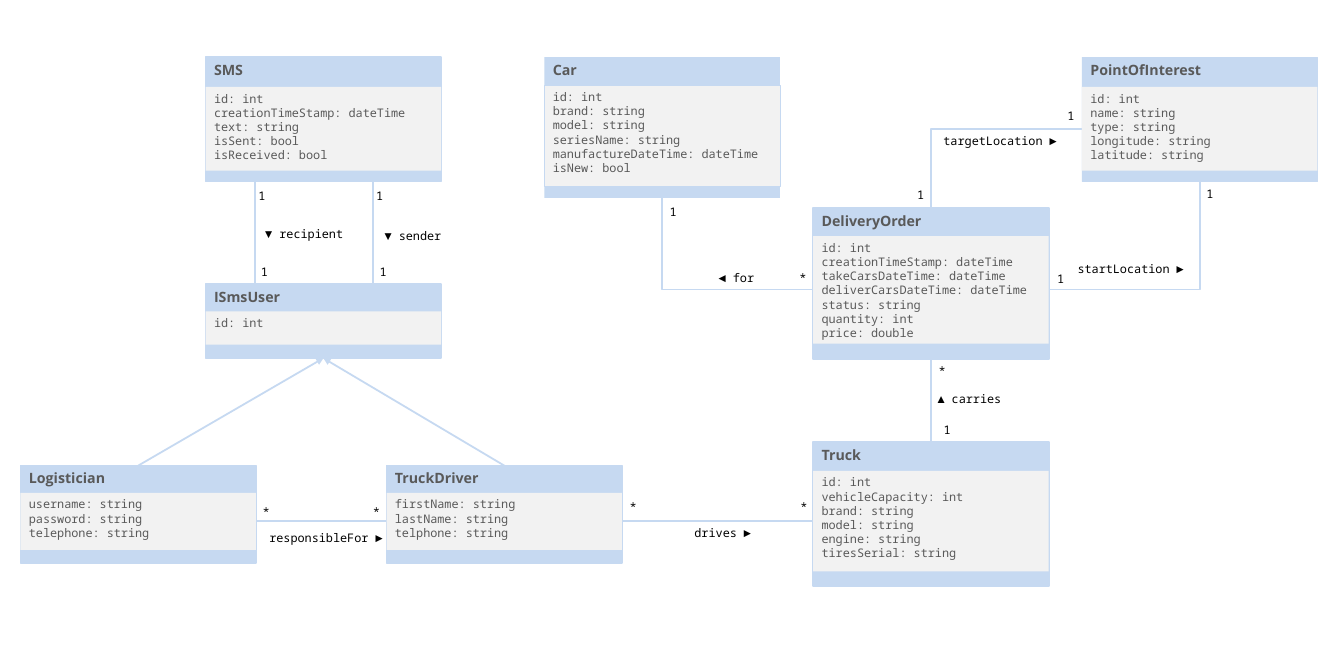
from dataclasses import dataclass

from lxml.etree import SubElement
from pptx import Presentation
from pptx.dml.color import RGBColor
from pptx.enum.shapes import MSO_CONNECTOR as Line, MSO_SHAPE as Preset
from pptx.enum.text import MSO_ANCHOR as Anchor, PP_ALIGN as Align
from pptx.oxml.ns import qn
from pptx.util import Inches, Pt

WIDTH, HEIGHT, COLUMNS = 15.75, 7.88, 63
CELL = Inches(WIDTH / COLUMNS)
BLUE, PALE, GREY, BLACK = "C6D9F1", "F2F2F2", "595959", "000000"
CLASS_NAME = {"name": "Open Sans", "size": Pt(12), "bold": True}
CODE = {"name": "Noto Sans Mono", "size": Pt(10), "bold": False}
TOP_LEFT = {"word_wrap": True, "vertical_anchor": Anchor.TOP}
TIGHT = TOP_LEFT | {"margin_left": 0, "margin_right": 0}


@dataclass
class Box:
    """A rectangle measured in grid cells."""
    left: float
    top: float
    width: float
    height: float

    def point(self, across, down):
        """Return the point at the given shares of the box."""
        return self.left + across * self.width, self.top + down * self.height

    def band(self, offset, height):
        """Return a full-width strip below the top edge."""
        return Box(self.left, self.top + offset, self.width, height)

    def emu(self):
        """Return left, top, width and height as slide lengths."""
        return cells(self.left, self.top, self.width, self.height)


@dataclass
class UmlClass:
    """A class with its box, header and body heights, and outline widths."""
    box: Box
    header: float
    body: float
    attributes: list
    outline: float = 1.5
    body_outline: float = 0


def class_at(left, top, height, *details):
    """Describe a class of the common width."""
    return UmlClass(Box(left, top, 11.04, height), *details)


CLASSES = {
    "SMS": class_at(9.64, 2.68, 5.84, 1.4, 3.92, [
        "id: int", "creationTimeStamp: dateTime", "text: string",
        "isSent: bool", "isReceived: bool"]),
    "ISmsUser": class_at(9.64, 13.32, 3.48, 1.28, 1.56, ["id: int"]),
    "Car": class_at(25.52, 2.68, 6.6, 1.32, 4.72, [
        "id: int", "brand: string", "model: string", "seriesName: string",
        "manufactureDateTime: dateTime", "isNew: bool"], 0, 0.5),
    "PointOfInterest": class_at(50.72, 2.68, 5.84, 1.4, 3.92, [
        "id: int", "name: string", "type: string", "longitude: string",
        "latitude: string"], 0.5),
    "DeliveryOrder": class_at(38.12, 9.76, 7.08, 1.32, 5.04, [
        "id: int", "creationTimeStamp: dateTime", "takeCarsDateTime: dateTime",
        "deliverCarsDateTime: dateTime", "status: string", "quantity: int",
        "price: double"]),
    "Truck": class_at(38.12, 20.72, 6.76, 1.36, 4.72, [
        "id: int", "vehicleCapacity: int", "brand: string", "model: string",
        "engine: string", "tiresSerial: string"]),
    "Logistician": class_at(0.96, 21.84, 4.56, 1.28, 2.68, [
        "username: string", "password: string", "telephone: string"]),
    "TruckDriver": class_at(18.12, 21.84, 4.56, 1.28, 2.68, [
        "firstName: string", "lastName: string", "telphone: string"]),
}

# Each end is a class with shares of its box; marks are offsets from the start.
ASSOCIATIONS = [
    (("SMS", 0.21, 1), ("ISmsUser", 0.21, 0),
     [("1", 0.32, 0.68), ("▼ recipient", 2.3, 2.46), ("1", 0.44, 4.24)]),
    (("SMS", 0.71, 1), ("ISmsUser", 0.71, 0),
     [("1", 0.32, 0.66), ("▼ sender", 1.88, 2.54), ("1", 0.48, 4.22)]),
    (("Logistician", 1, 0.57), ("TruckDriver", 0, 0.57),
     [("*", 0.48, -0.42), ("responsibleFor ►", 3.28, 0.78), ("*", 5.64, -0.42)]),
    (("TruckDriver", 1, 0.57), ("Truck", 0, 0.55),
     [("*", 0.52, -0.66), ("drives ►", 4.72, 0.54), ("*", 8.52, -0.66)]),
    (("DeliveryOrder", 0.5, 1), ("Truck", 0.5, 0),
     [("*", 0.52, 0.54), ("▲ carries", 1.8, 1.86), ("1", 0.76, 3.34)]),
    (("DeliveryOrder", 0, 0.54), ("Car", 0.5, 1),
     [("*", -0.48, -0.54), ("◄ for", -3.6, -0.54), ("1", -6.56, -3.66)]),
    (("DeliveryOrder", 1, 0.54), ("PointOfInterest", 0.5, 1),
     [("1", 0.56, -0.5), ("startLocation ►", 3.84, -0.98), ("1", 7.56, -4.5)]),
    (("PointOfInterest", 0, 0.575), ("DeliveryOrder", 0.5, 0),
     [("1", -0.52, -0.58), ("targetLocation ►", -3.84, 0.58), ("1", -7.56, 3.1)]),
]


def cells(*counts):
    """Convert grid cells to slide lengths."""
    return [round(count * CELL) for count in counts]


def color(hex_code):
    """Convert a hex string to a colour."""
    return RGBColor.from_string(hex_code)


def apply(target, values):
    """Set every attribute in a dict of format values."""
    for attribute, value in values.items():
        setattr(target, attribute, value)


def write(frame, lines, font, ink, layout, align):
    """Fill a text frame with one paragraph per line."""
    apply(frame, layout)
    frame.text = "\n".join(lines)
    for paragraph in frame.paragraphs:
        paragraph.alignment = align
        apply(paragraph.font, font)
        paragraph.font.color.rgb = color(ink)


def panel(slide, box, fill, outline, lines, font):
    """Draw a filled rectangle holding left-aligned text."""
    area = slide.shapes.add_shape(Preset.RECTANGLE, *box.emu())
    area.shadow.inherit = False
    area.fill.solid()
    area.fill.fore_color.rgb = color(fill)
    if outline:
        area.line.color.rgb = color(BLUE)
        area.line.width = Pt(outline)
    else:
        area.line.fill.background()
    write(area.text_frame, lines, font, GREY, TOP_LEFT, Align.LEFT)


def draw_class(slide, name, uml):
    """Draw a class card with its attribute compartment."""
    panel(slide, uml.box, BLUE, uml.outline, [name], CLASS_NAME)
    compartment = uml.box.band(uml.header, uml.body)
    panel(slide, compartment, PALE, uml.body_outline, uml.attributes, CODE)


def draw_link(slide, start, end, arrow=False):
    """Join two points, turning one corner when neither axis is shared."""
    link = slide.shapes.add_connector(Line.STRAIGHT, *cells(*start, *end))
    link.line.color.rgb = color(BLUE)
    link.line.width = Pt(1.5)
    properties = link._element.spPr
    SubElement(properties, qn("a:effectLst"))
    if arrow:
        SubElement(link.line._get_or_add_ln(), qn("a:tailEnd"), type="triangle")
    elif min(abs(a - b) for a, b in zip(start, end)) > 0.5:
        properties.find(qn("a:prstGeom")).set("prst", "bentConnector2")


def draw_mark(slide, text, x, y):
    """Centre a multiplicity or role label on a point."""
    width = 0.96 if len(text) == 1 else 6.56
    box = Box(x - width / 2, y - 0.54, width, 1.08)
    mark = slide.shapes.add_textbox(*box.emu())
    write(mark.text_frame, [text], CODE, BLACK, TIGHT, Align.CENTER)


def anchor(name, across, down):
    """Find a point on the edge of a named class."""
    return CLASSES[name].box.point(across, down)


def draw_diagram(slide):
    """Draw the links, the classes and the link labels."""
    for start, end, _ in ASSOCIATIONS:
        draw_link(slide, anchor(*start), anchor(*end))
    for child in ("TruckDriver", "Logistician"):
        draw_link(slide, anchor(child, 0.5, 0), anchor("ISmsUser", 0.5, 1), True)
    for name, uml in CLASSES.items():
        draw_class(slide, name, uml)
    for start, _, marks in ASSOCIATIONS:
        x, y = anchor(*start)
        for text, right, down in marks:
            draw_mark(slide, text, x + right, y + down)


deck = Presentation()
apply(deck, {"slide_width": Inches(WIDTH), "slide_height": Inches(HEIGHT)})
draw_diagram(deck.slides.add_slide(deck.slide_layouts[6]))
deck.save("out.pptx")
